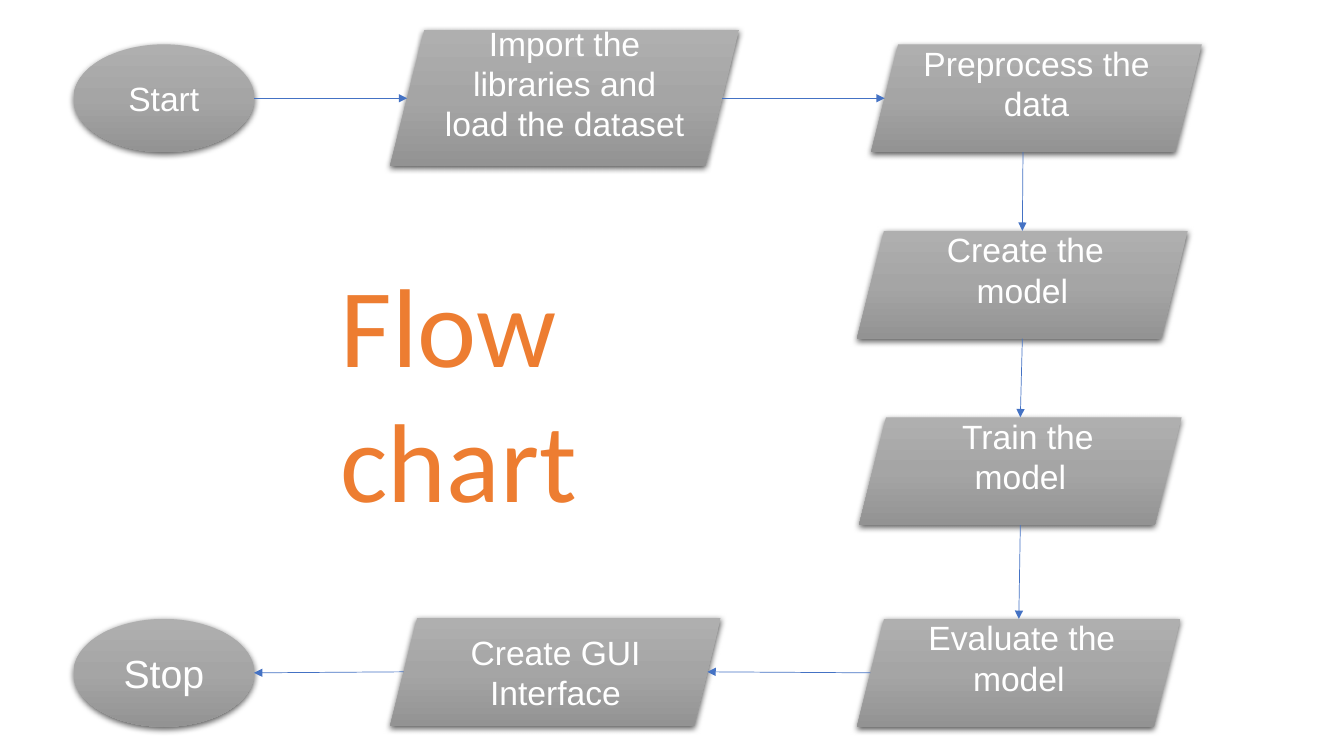
from copy import deepcopy

from lxml import etree
from pptx import Presentation
from pptx.dml.color import RGBColor
from pptx.enum.shapes import MSO_CONNECTOR, MSO_SHAPE
from pptx.enum.text import MSO_ANCHOR, PP_ALIGN
from pptx.oxml.ns import qn
from pptx.util import Inches, Pt

OVAL, SLANTED = MSO_SHAPE.OVAL, MSO_SHAPE.PARALLELOGRAM
STRAIGHT = MSO_CONNECTOR.STRAIGHT
MIDDLE, CENTER = MSO_ANCHOR.MIDDLE, PP_ALIGN.CENTER

SLIDE_W, SLIDE_H = 13.33, 7.5
STEP_H = 1.07
TOP_ROW, BOTTOM_ROW = 0.44, 6.14
START_COL, LOAD_COL, MODEL_COL = 0.73, 3.87, 8.5
SKEW = 0.25          # slant of a parallelogram, as a share of its height
RAISED = 0.35        # bottom inset that lifts the text above the middle
LEVEL = 0.05

GRADIENT = [(0, "AFAFAF"), (0.5, "A5A5A5"), (1, "939393")]
TEXT_COLOR, ARROW_COLOR, TITLE_COLOR = "FFFFFF", "4472C4", "ED7D31"
SHADOW = {"blurRad": Pt(4.5), "dist": Pt(1.5), "dir": 90 * 60000, "rotWithShape": 0}
SHADOW_ALPHA = 63000

TITLE = ("Flow chart", (3.28, 2.49, 4.12, 2.79), 80)

# key: (words, outline, (left, top, width, height), size, bottom inset, indent)
STEPS = {
    "start": ("Start", OVAL, (START_COL, TOP_ROW, 1.79, STEP_H), 24, LEVEL, 0),
    "load": ("Import the libraries and load the dataset", SLANTED,
             (LOAD_COL, 0.3, 3.46, 1.35), 24, RAISED, 0),
    "preprocess": ("Preprocess the data", SLANTED,
                   (8.64, TOP_ROW, 3.28, STEP_H), 24, RAISED, 0),
    "create": ("Create the model", SLANTED,
               (MODEL_COL, 2.29, 3.28, STEP_H), 24, RAISED, 0.06),
    "train": ("Train the model", SLANTED,
              (8.52, 4.14, 3.2, STEP_H), 24, RAISED, 0.15),
    "evaluate": ("Evaluate the model", SLANTED,
                 (MODEL_COL, BOTTOM_ROW, 3.21, STEP_H), 24, RAISED, 0.06),
    "interface": ("Create GUI Interface", SLANTED,
                  (LOAD_COL, 6.13, 3.28, STEP_H), 24, LEVEL, 0),
    "stop": ("Stop", OVAL, (START_COL, BOTTOM_ROW, 1.79, STEP_H), 28, LEVEL, 0),
}

ARROWS = [
    ("start", "right", "load", "left"),
    ("load", "right", "preprocess", "left"),
    ("preprocess", "bottom edge", "create", "top"),
    ("create", "bottom", "train", "top"),
    ("train", "bottom", "evaluate", "top"),
    ("evaluate", "left", "interface", "right"),
    ("interface", "left", "stop", "right"),
]


def rgb(color):
    return RGBColor.from_string(color)


def inches(lengths):
    return [Inches(length) for length in lengths]


def write(paragraph, words, size, color, font):
    run = paragraph.add_run()
    run.text = words
    run.font.color.rgb = rgb(color)
    for name, value in {"size": Pt(size), "name": font}.items():
        setattr(run.font, name, value)


def shade(fill):
    """Fill from top to bottom with the three stops of GRADIENT."""
    fill.gradient()
    fill.gradient_angle = 270
    stop_list = fill._xPr.find(qn("a:gradFill")).find(qn("a:gsLst"))
    stop_list.append(deepcopy(stop_list[0]))
    for stop, (position, color) in zip(fill.gradient_stops, GRADIENT):
        stop.position = position
        stop.color.rgb = rgb(color)


def cast_shadow(shape):
    shape.shadow.inherit = False
    effects = shape._element.spPr.find(qn("a:effectLst"))
    outer = etree.SubElement(effects, qn("a:outerShdw"))
    for name, value in SHADOW.items():
        outer.set(name, str(int(value)))
    black = etree.SubElement(outer, qn("a:srgbClr"), val="000000")
    etree.SubElement(black, qn("a:alpha"), val=str(SHADOW_ALPHA))


def add_step(slide, words, outline, box, size, bottom_inset, indent):
    step = slide.shapes.add_shape(outline, *inches(box))
    shade(step.fill)
    step.line.fill.background()
    cast_shadow(step)
    frame = step.text_frame
    layout = {"word_wrap": True, "vertical_anchor": MIDDLE,
              "margin_bottom": Inches(bottom_inset)}
    for name, value in layout.items():
        setattr(frame, name, value)
    paragraph = frame.paragraphs[0]
    paragraph.alignment = CENTER
    if indent:
        paragraph._p.get_or_add_pPr().set("indent", str(Inches(indent)))
    write(paragraph, words, size, TEXT_COLOR, "Arial")


def port(key, side):
    """Point where an arrow meets the given side of a step."""
    _, outline, (left, top, width, height), *_ = STEPS[key]
    slant = SKEW * height / 2 if outline == SLANTED else 0
    center, middle = left + width / 2, top + height / 2
    return {
        "left": (left + slant, middle),
        "right": (left + width - slant, middle),
        "top": (center, top),
        "bottom": (center, top + height),
        "bottom edge": (center - slant, top + height),
    }[side]


def add_arrow(slide, source, source_side, target, target_side):
    ends = port(source, source_side) + port(target, target_side)
    arrow = slide.shapes.add_connector(STRAIGHT, *inches(ends))
    arrow.line.color.rgb = rgb(ARROW_COLOR)
    arrow.line.width = Pt(0.5)
    etree.SubElement(arrow.line._get_or_add_ln(), qn("a:tailEnd"), type="triangle")
    etree.SubElement(arrow._element.spPr, qn("a:effectLst"))


def main():
    deck = Presentation()
    deck.slide_width, deck.slide_height = inches((SLIDE_W, SLIDE_H))
    slide = deck.slides.add_slide(deck.slide_layouts[6])
    for step in STEPS.values():
        add_step(slide, *step)
    for arrow in ARROWS:
        add_arrow(slide, *arrow)
    words, box, size = TITLE
    frame = slide.shapes.add_textbox(*inches(box)).text_frame
    frame.word_wrap = True
    write(frame.paragraphs[0], words, size, TITLE_COLOR, "Calibri")
    deck.save("out.pptx")


if __name__ == "__main__":
    main()
